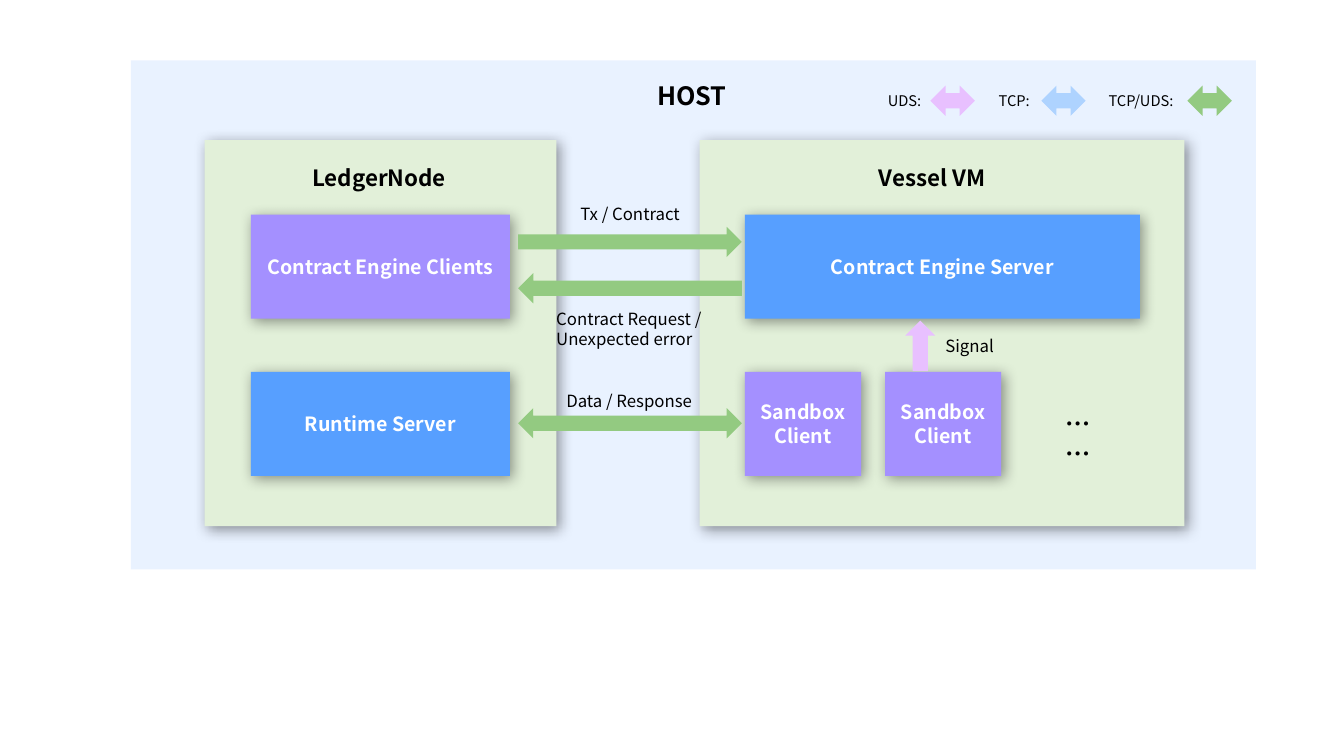
"""Build a slide showing how contract engine clients and a sandbox VM talk on one host."""
from lxml.etree import SubElement
from pptx import Presentation
from pptx.dml.color import RGBColor
from pptx.enum.shapes import MSO_SHAPE as Shape
from pptx.enum.text import MSO_ANCHOR as Anchor, MSO_AUTO_SIZE as AutoSize, PP_ALIGN as Align
from pptx.oxml.ns import qn
from pptx.util import Pt

FONT = "Noto Sans CJK SC"
BLACK = RGBColor(0x00, 0x00, 0x00)
WHITE = RGBColor(0xFF, 0xFF, 0xFF)
HOST_BLUE = RGBColor(0xDB, 0xE9, 0xFF)
PANEL_GREEN = RGBColor(0xE2, 0xF0, 0xD9)
PURPLE = RGBColor(0xA4, 0x90, 0xFF)
BLUE = RGBColor(0x57, 0x9F, 0xFF)
UDS_PINK = RGBColor(0xE8, 0xC0, 0xFF)
TCP_BLUE = RGBColor(0xAE, 0xD3, 0xFF)
BOTH_GREEN = RGBColor(0x93, 0xCA, 0x81)

HOST = (93.6, 43.2, 803.5, 363.6)
PANEL_TOP, PANEL_HEIGHT = 100.1, 275.8
PANELS = [(146.2, 251.3), (499.7, 346.3)]
ROW_TOPS, BOX_HEIGHT = (153.4, 265.7), 74.2
BOXES = [
    ("Contract Engine Clients", 179.3, 0, 185, PURPLE),
    ("Runtime Server", 179.3, 1, 185, BLUE),
    ("Contract Engine Server", 532.1, 0, 282.2, BLUE),
    ("Sandbox\nClient", 532.1, 1, 83, PURPLE),
    ("Sandbox\nClient", 632.2, 1, 83, PURPLE),
]
ARROW_HEIGHT = 21.6
ARROWS = [
    (Shape.RIGHT_ARROW, 370.1, 162, 159.8, 0, BOTH_GREEN),
    (Shape.RIGHT_ARROW, 370.1, 195.1, 159.8, 180, BOTH_GREEN),
    (Shape.LEFT_RIGHT_ARROW, 370.1, 291.6, 159.8, 0, BOTH_GREEN),
    (Shape.RIGHT_ARROW, 639.4, 236.2, 36, 270, UDS_PINK),
]
HEADINGS = [
    ("HOST", (462.3, 54, 67, 28.8), 18),
    ("LedgerNode", (216, 113.8, 112.3, 26.6), 16),
    ("Vessel VM", (620.6, 113.8, 105.1, 26.6), 16),
]
LABELS = [
    ("Tx / Contract", (407.5, 141.8, 88.6, 21.6)),
    ("Contract Request /\nUnexpected error", (390.2, 216.7, 123.1, 36)),
    ("Data / Response", (397.4, 275.8, 109.4, 21.6)),
    ("Signal", (668.2, 236.2, 49.7, 21.6)),
]
LEGEND_TOP, LEGEND_ARROW_WIDTH = 61.2, 31.7
LEGEND = [
    ("UDS:", 627.1, 38.9, 664.6, UDS_PINK),
    ("TCP:", 706.3, 36.7, 743.8, TCP_BLUE),
    ("TCP/UDS:", 784.8, 63.4, 848.2, BOTH_GREEN),
]


def write(shape, text, size=12, bold=False, color=BLACK, align=Align.LEFT,
          anchor=Anchor.TOP, wrap=False, auto_size=AutoSize.SHAPE_TO_FIT_TEXT):
    frame = shape.text_frame
    frame.word_wrap = wrap
    frame.auto_size = auto_size
    frame.vertical_anchor = anchor
    for index, line in enumerate(text.split("\n")):
        paragraph = frame.add_paragraph() if index else frame.paragraphs[0]
        paragraph.alignment = align
        run = paragraph.add_run()
        run.text = line
        run.font.name, run.font.size, run.font.bold = FONT, Pt(size), bold
        run.font.color.rgb = color
        east_asian = SubElement(run.font._element, qn("a:ea"))
        east_asian.set("typeface", FONT)


def add_text(slide, text, bounds, **style):
    write(slide.shapes.add_textbox(*map(Pt, bounds)), text, **style)


def add_block(slide, kind, bounds, color, shadow=False):
    shape = slide.shapes.add_shape(kind, *map(Pt, bounds))
    shape.fill.solid()
    shape.fill.fore_color.rgb = color
    shape.line.fill.background()
    shape.shadow.inherit = False
    if shadow:
        effects = shape._element.spPr.find(qn("a:effectLst"))
        outer = SubElement(effects, qn("a:outerShdw"), blurRad=str(Pt(10)),
                           dist=str(Pt(3)), dir="2700000", algn="tl", rotWithShape="0")
        black = SubElement(outer, qn("a:srgbClr"), val=str(BLACK))
        SubElement(black, qn("a:alpha"), val="40000")
    return shape


def main():
    presentation = Presentation()
    presentation.slide_width, presentation.slide_height = Pt(960), Pt(540)
    slide = presentation.slides.add_slide(presentation.slide_layouts[6])

    host = add_block(slide, Shape.RECTANGLE, HOST, HOST_BLUE)
    host_color = host._element.spPr.find(qn("a:solidFill"))[0]
    SubElement(host_color, qn("a:alpha"), val="59000")

    for left, width in PANELS:
        add_block(slide, Shape.RECTANGLE, (left, PANEL_TOP, width, PANEL_HEIGHT),
                  PANEL_GREEN, shadow=True)
    for text, left, row, width, color in BOXES:
        box = add_block(slide, Shape.RECTANGLE, (left, ROW_TOPS[row], width, BOX_HEIGHT),
                        color, shadow=True)
        write(box, text, size=14, bold=True, color=WHITE, align=Align.CENTER,
              anchor=Anchor.MIDDLE, wrap=True, auto_size=AutoSize.NONE)
    for kind, left, top, width, rotation, color in ARROWS:
        arrow = add_block(slide, kind, (left, top, width, ARROW_HEIGHT), color)
        arrow.rotation = rotation

    for text, bounds, size in HEADINGS:
        add_text(slide, text, bounds, size=size, bold=True)
    for text, bounds in LABELS:
        add_text(slide, text, bounds)
    add_text(slide, "……", (745.2, 288, 49.7, 28.8), size=18, bold=True,
             align=Align.CENTER, wrap=True)

    for text, left, width, arrow_left, color in LEGEND:
        add_block(slide, Shape.LEFT_RIGHT_ARROW,
                  (arrow_left, LEGEND_TOP, LEGEND_ARROW_WIDTH, ARROW_HEIGHT), color)
        add_text(slide, text, (left, LEGEND_TOP + 0.7, width, 20.2), size=10.5)

    presentation.save("out.pptx")


if __name__ == "__main__":
    main()
